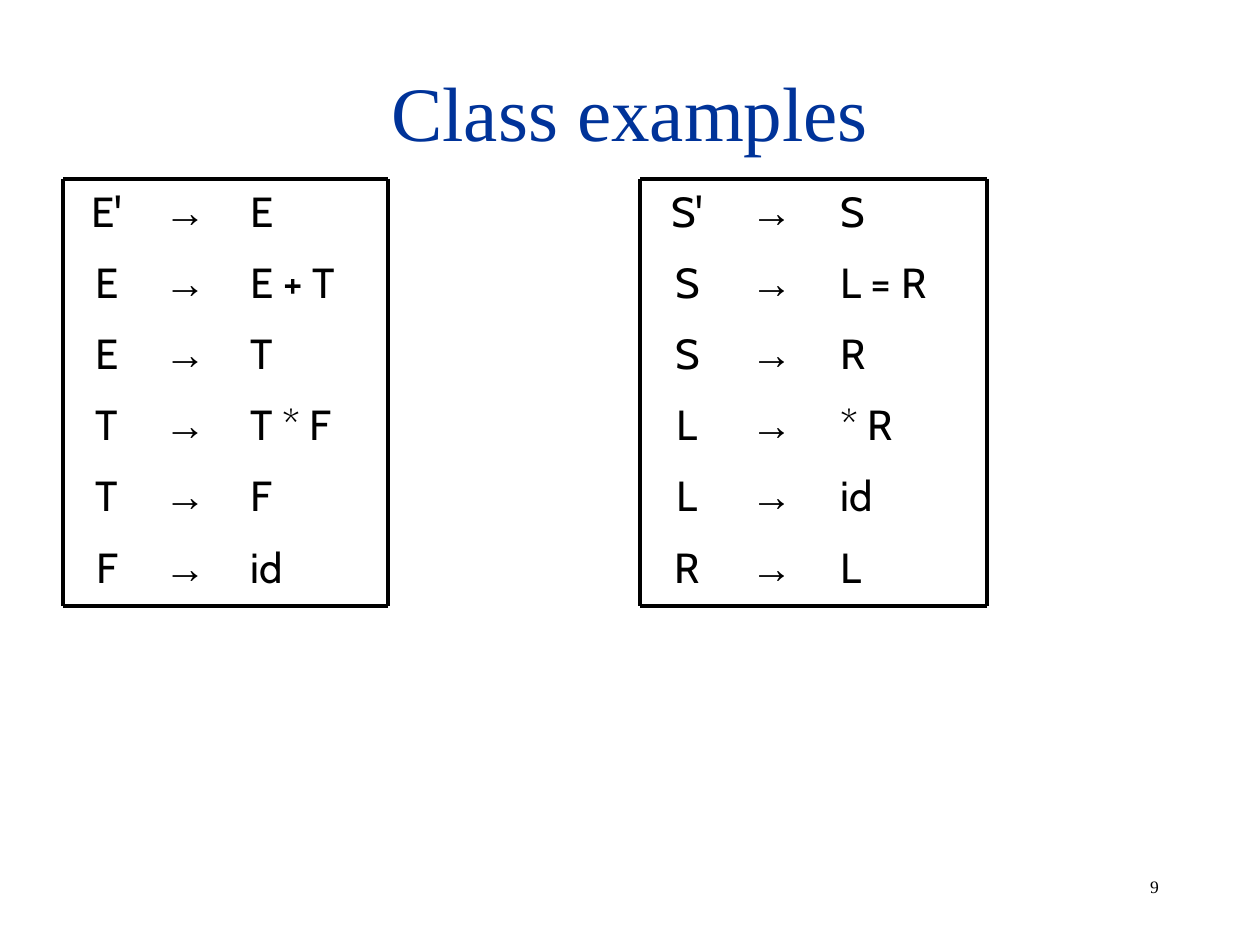
from dataclasses import dataclass
from itertools import accumulate

from lxml import etree
from pptx import Presentation
from pptx.dml.color import RGBColor
from pptx.enum.shapes import MSO_CONNECTOR
from pptx.enum.text import MSO_ANCHOR, PP_ALIGN
from pptx.oxml.ns import qn
from pptx.slide import Slide
from pptx.util import Inches, Pt

LEFT, CENTER = PP_ALIGN.LEFT, PP_ALIGN.CENTER
TOP, MIDDLE = MSO_ANCHOR.TOP, MSO_ANCHOR.MIDDLE
STRAIGHT = MSO_CONNECTOR.STRAIGHT

SLIDE_WIDTH, SLIDE_HEIGHT = 10, 7.5
GRID_TOP, GRID_BOTTOM = 1.42, 4.81
SIDE_INSET = 0.1
ARROW_INSET = 0.25  # moves the arrow left of its column's centre


@dataclass(frozen=True)
class TextStyle:
    font: str
    size: float
    color: RGBColor


@dataclass(frozen=True)
class Theme:
    black: RGBColor = RGBColor(0x00, 0x00, 0x00)
    title: TextStyle = TextStyle("Times New Roman", 44, RGBColor(0x00, 0x33, 0x99))
    symbol: TextStyle = TextStyle("Cabin", 24, black)
    arrow: TextStyle = TextStyle("Arial", 24, black)
    page_number: TextStyle = TextStyle("Times New Roman", 10, black)
    frame_width: float = 2.25


@dataclass(frozen=True)
class Box:
    left: float
    top: float
    width: float
    height: float


@dataclass(frozen=True)
class Grammar:
    left: float
    columns: tuple[float, float, float]
    rules: tuple[tuple[str, str], ...]


THEME = Theme()

GRAMMARS = (
    Grammar(0.5, (0.7, 0.69, 1.19), (
        ("E'", "E"), ("E", "E + T"), ("E", "T"),
        ("T", "T * F"), ("T", "F"), ("F", "id"),
    )),
    Grammar(5.08, (0.75, 0.74, 1.26), (
        ("S'", "S"), ("S", "L = R"), ("S", "R"),
        ("L", "* R"), ("L", "id"), ("R", "L"),
    )),
)


def add_text(slide: Slide, text: str, box: Box, style: TextStyle,
             alignment: PP_ALIGN = LEFT, anchor: MSO_ANCHOR = TOP,
             right_inset: float = SIDE_INSET) -> None:
    shape = slide.shapes.add_textbox(Inches(box.left), Inches(box.top),
                                     Inches(box.width), Inches(box.height))
    frame = shape.text_frame
    frame.word_wrap = True
    frame.vertical_anchor = anchor
    frame.margin_right = Inches(right_inset)
    paragraph = frame.paragraphs[0]
    paragraph.text = text
    paragraph.alignment = alignment
    paragraph.font.name = style.font
    paragraph.font.size = Pt(style.size)
    paragraph.font.color.rgb = style.color


def add_line(slide: Slide, x1: float, y1: float, x2: float, y2: float) -> None:
    line = slide.shapes.add_connector(STRAIGHT, Inches(x1), Inches(y1),
                                      Inches(x2), Inches(y2))
    line.line.color.rgb = THEME.black
    line.line.width = Pt(THEME.frame_width)
    etree.SubElement(line._element.spPr, qn("a:effectLst"))


def add_grammar(slide: Slide, grammar: Grammar) -> None:
    row_height = (GRID_BOTTOM - GRID_TOP) / len(grammar.rules)
    edges = list(accumulate(grammar.columns, initial=grammar.left))

    # One production per row: head, arrow, body
    for row, (head, body) in enumerate(grammar.rules):
        top = GRID_TOP + row * row_height
        head_box, arrow_box, body_box = (
            Box(left, top, width, row_height)
            for left, width in zip(edges, grammar.columns))
        add_text(slide, head, head_box, THEME.symbol, CENTER)
        add_text(slide, "→", arrow_box, THEME.arrow, CENTER, right_inset=ARROW_INSET)
        add_text(slide, body, body_box, THEME.symbol)

    # Frame around the grammar
    left, right = edges[0], edges[-1]
    for y in (GRID_TOP, GRID_BOTTOM):
        add_line(slide, left, y, right, y)
    for x in (left, right):
        add_line(slide, x, GRID_TOP, x, GRID_BOTTOM)


def main() -> None:
    presentation = Presentation()
    presentation.slide_width = Inches(SLIDE_WIDTH)
    presentation.slide_height = Inches(SLIDE_HEIGHT)
    slide = presentation.slides.add_slide(presentation.slide_layouts[6])

    # Title and page number
    title_width = 0.85 * SLIDE_WIDTH
    title_box = Box((SLIDE_WIDTH - title_width) / 2, 0.25, title_width, 1.25)
    add_text(slide, "Class examples", title_box, THEME.title, CENTER, MIDDLE)
    add_text(slide, "9", Box(9.03, 6.9, 0.78, 0.27), THEME.page_number)

    # Grammars side by side
    for grammar in GRAMMARS:
        add_grammar(slide, grammar)

    presentation.save("out.pptx")


if __name__ == "__main__":
    main()
